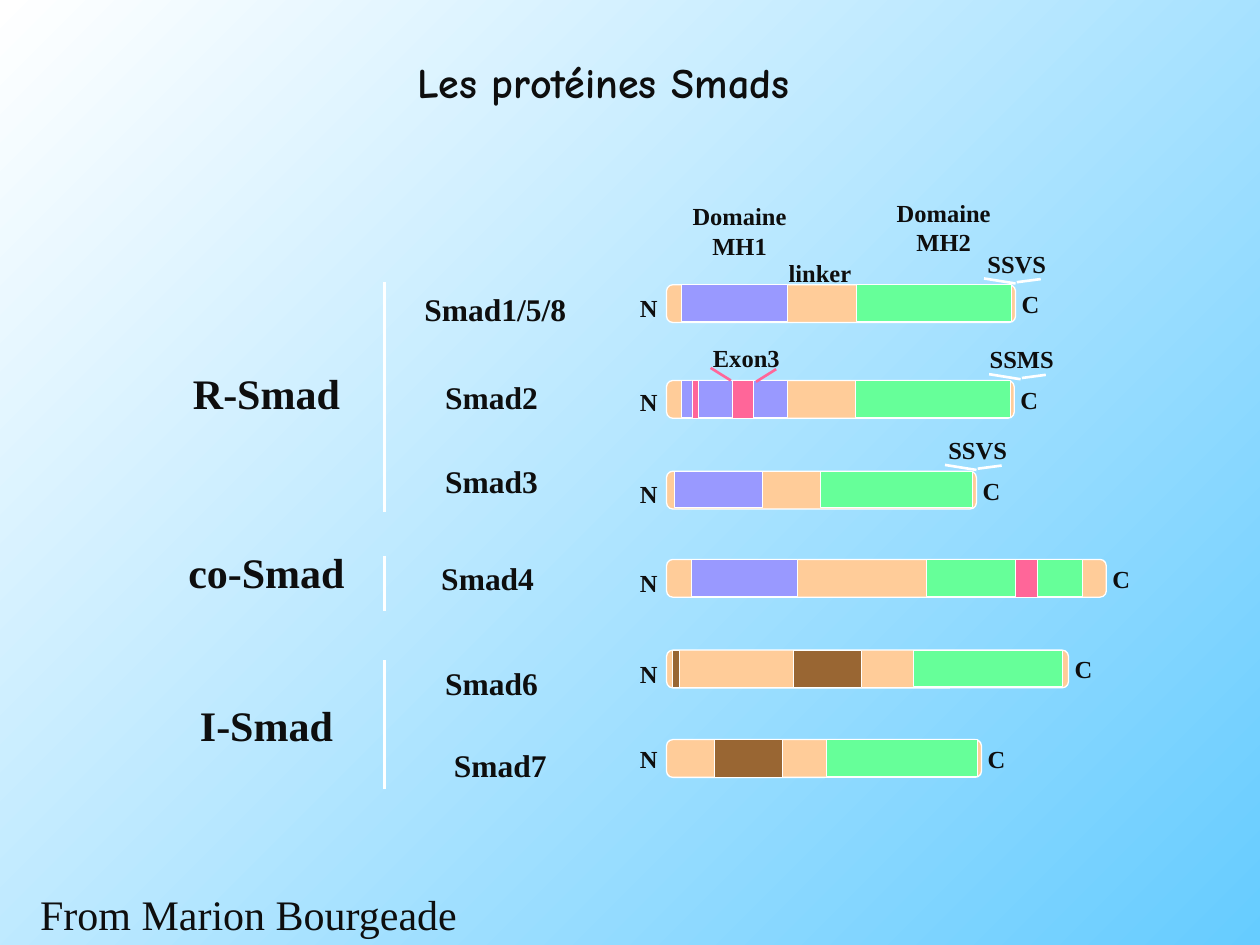
from dataclasses import dataclass
from typing import NamedTuple

from lxml.etree import SubElement
from pptx import Presentation
from pptx.dml.color import RGBColor
from pptx.enum.shapes import MSO_CONNECTOR, MSO_SHAPE
from pptx.enum.text import MSO_ANCHOR, MSO_AUTO_SIZE, PP_ALIGN
from pptx.oxml.ns import qn
from pptx.shapes.autoshape import Shape
from pptx.slide import Slide
from pptx.util import Emu, Inches, Pt

SLIDE_WIDTH, SLIDE_HEIGHT = Inches(10), Inches(7.5)
COLUMNS, ROWS = 100, 75
BAR_LEFT, BAR_HEIGHT = 52.9, 3
SPINE_COLUMN = 30.5
FONT, TITLE_FONT = "Times New Roman", "Comic Neue"
LINE_HEIGHTS = {14: 3.4, 18: 4, 24: 5}
COLORS = {
    "ink": "0E0E0E",
    "white": "FFFFFF",
    "sky": "66CCFF",
    "linker": "FFCC99",
    "MH1": "9999FF",
    "MH2": "66FF99",
    "exon": "FF6699",
    "inhibitor": "996633",
}


class Domain(NamedTuple):
    kind: str
    left: float
    width: float


class DomainStyle(NamedTuple):
    height: float
    outline: float


class Label(NamedTuple):
    text: str
    left: float
    top: float
    width: float
    size: int = 14
    align: PP_ALIGN = PP_ALIGN.CENTER
    bold: bool = True


class Stroke(NamedTuple):
    color: str
    start: tuple[float, float]
    end: tuple[float, float]


class Family(NamedTuple):
    name: str
    label_top: float
    spine_top: float
    spine_bottom: float


@dataclass
class Protein:
    name: str
    name_center: float
    name_top: float
    bar_top: float
    bar_width: float
    n_top: float
    domains: list[Domain]
    motif: str = ""
    motif_column: float = 0


DOMAIN_STYLES = {
    "MH1": DomainStyle(2.9, 0.5),
    "MH2": DomainStyle(2.9, 0.5),
    "exon": DomainStyle(3, 0.25),
    "inhibitor": DomainStyle(3, 0.5),
}
FAMILIES = [
    Family("R-Smad", 28.7, 22.4, 40.6),
    Family("co-Smad", 42.9, 44.1, 48.5),
    Family("I-Smad", 55, 52.4, 62.6),
]
PROTEINS = [
    Protein("Smad1/5/8", 39.3, 22.5, 22.6, 27.7, 22.8,
            [Domain("MH1", 54.1, 8.4), Domain("MH2", 68, 12.3)], "SSVS", 80.6),
    Protein("Smad2", 39, 29.5, 30.2, 27.6, 30.2,
            [Domain("MH1", 54.1, 8.4), Domain("MH2", 67.9, 12.3),
             Domain("exon", 58.1, 1.7), Domain("exon", 54.9, 0.5)], "SSMS", 81),
    Protein("Smad3", 39, 36.2, 37.4, 24.6, 37.5,
            [Domain("MH2", 65.1, 12.1), Domain("MH1", 53.5, 7)], "SSVS", 77.5),
    Protein("Smad4", 38.7, 43.9, 44.4, 34.9, 44.6,
            [Domain("MH2", 73.5, 12.4), Domain("MH1", 54.9, 8.4), Domain("exon", 80.6, 1.7)]),
    Protein("Smad6", 39, 52.2, 51.6, 31.9, 51.8,
            [Domain("MH2", 72.5, 11.8), Domain("inhibitor", 53.4, 0.5),
             Domain("inhibitor", 63, 5.4)]),
    Protein("Smad7", 39.7, 58.7, 58.7, 25, 58.6,
            [Domain("MH2", 65.6, 12), Domain("inhibitor", 56.7, 5.4)]),
]
CAPTIONS = [
    Label("Domaine\nMH1", 53.5, 15.5, 10.4),
    Label("Domaine\nMH2", 69.7, 15.2, 10.4),
    Label("linker", 61.6, 20, 7.2, align=PP_ALIGN.LEFT),
    Label("Exon3", 55.6, 26.7, 7.4, align=PP_ALIGN.LEFT),
    Label("From Marion Bourgeade", 2.2, 70, 35.1, 24, PP_ALIGN.LEFT, False),
]
EXON_STROKES = [
    Stroke("exon", (56.4, 29.2), (58, 30.2)),
    Stroke("exon", (60, 30.3), (61.6, 29.3)),
]


def across(columns: float) -> Emu:
    """Convert grid columns to a length."""
    return Emu(round(SLIDE_WIDTH * columns / COLUMNS))


def down(rows: float) -> Emu:
    """Convert grid rows to a length."""
    return Emu(round(SLIDE_HEIGHT * rows / ROWS))


def color(name: str) -> RGBColor:
    """Look up a named colour."""
    return RGBColor.from_string(COLORS[name])


def write_text(shape: Shape, label: Label, font: str = FONT) -> None:
    """Fill a shape with the styled lines of a label."""
    frame = shape.text_frame
    frame.word_wrap = False
    frame.vertical_anchor = MSO_ANCHOR.TOP
    for index, line in enumerate(label.text.split("\n")):
        paragraph = frame.add_paragraph() if index else frame.paragraphs[0]
        paragraph.alignment = label.align
        run = paragraph.add_run()
        run.text = line
        run.font.name, run.font.size, run.font.bold = font, Pt(label.size), label.bold
        run.font.color.rgb = color("ink")
    frame.auto_size = MSO_AUTO_SIZE.SHAPE_TO_FIT_TEXT


def add_label(slide: Slide, label: Label) -> None:
    """Add a text box for a label."""
    height = LINE_HEIGHTS[label.size] + 2.3 * label.text.count("\n")
    write_text(slide.shapes.add_textbox(
        across(label.left), down(label.top), across(label.width), down(height)), label)


def add_stroke(slide: Slide, stroke: Stroke) -> None:
    """Add a straight line without a shadow."""
    (left, top), (right, bottom) = stroke.start, stroke.end
    connector = slide.shapes.add_connector(
        MSO_CONNECTOR.STRAIGHT, across(left), down(top), across(right), down(bottom))
    connector.line.color.rgb = color(stroke.color)
    connector.line.width = Pt(1.5)
    SubElement(connector.element.spPr, qn("a:effectLst"))


def add_block(slide: Slide, kind: str, left: float, top: float, width: float,
              style: DomainStyle, preset: MSO_SHAPE = MSO_SHAPE.RECTANGLE) -> None:
    """Add a white-outlined block of a protein bar."""
    shape = slide.shapes.add_shape(
        preset, across(left), down(top), across(width), down(style.height))
    shape.shadow.inherit = False
    shape.fill.solid()
    shape.fill.fore_color.rgb = color(kind)
    shape.line.color.rgb = color("white")
    shape.line.width = Pt(style.outline)


def add_protein(slide: Slide, protein: Protein) -> None:
    """Draw a protein with its name, bar, ends and terminal motif."""
    top, bar_end = protein.bar_top, BAR_LEFT + protein.bar_width
    add_label(slide, Label(protein.name, protein.name_center - 14.1, protein.name_top, 28.2, 18))
    add_block(slide, "linker", BAR_LEFT, top, protein.bar_width,
              DomainStyle(BAR_HEIGHT, 0.75), MSO_SHAPE.ROUNDED_RECTANGLE)
    for domain in protein.domains:
        add_block(slide, domain.kind, domain.left, top, domain.width, DOMAIN_STYLES[domain.kind])
    add_label(slide, Label("N", 49.8, protein.n_top, 3.4, align=PP_ALIGN.LEFT))
    add_label(slide, Label("C", bar_end - 0.5, top - 0.15, 3.4, align=PP_ALIGN.LEFT))
    if protein.motif:
        tip = protein.motif_column
        add_label(slide, Label(protein.motif, tip - 3.9, top - 3.35, 8))
        add_stroke(slide, Stroke("white", (tip - 2.5, top - 0.5), (tip, top - 0.1)))
        add_stroke(slide, Stroke("white", (tip + 0.1, top - 0.2), (tip + 2, top - 0.45)))


def add_family(slide: Slide, family: Family) -> None:
    """Draw a family name and the line beside its members."""
    add_label(slide, Label(family.name, 7, family.label_top, 28.3, 24))
    add_stroke(slide, Stroke("white", (SPINE_COLUMN, family.spine_top),
                             (SPINE_COLUMN, family.spine_bottom)))


def main() -> None:
    """Build and save the slide."""
    presentation = Presentation()
    presentation.slide_width, presentation.slide_height = SLIDE_WIDTH, SLIDE_HEIGHT
    slide = presentation.slides.add_slide(presentation.slide_layouts[5])
    background = slide.background.fill
    background.gradient()
    background.gradient_angle = 135
    for stop, name in zip(background.gradient_stops, ("sky", "white")):
        stop.color.rgb = color(name)
    title = slide.shapes.title
    title.left, title.top, title.width, title.height = across(32.1), down(4), across(31.6), down(5)
    write_text(title, Label("Les protéines Smads", 32.1, 4, 31.6, 24, PP_ALIGN.LEFT), TITLE_FONT)
    for protein in PROTEINS:
        add_protein(slide, protein)
    for family in FAMILIES:
        add_family(slide, family)
    for caption in CAPTIONS:
        add_label(slide, caption)
    for stroke in EXON_STROKES:
        add_stroke(slide, stroke)
    presentation.save("out.pptx")


if __name__ == "__main__":
    main()
